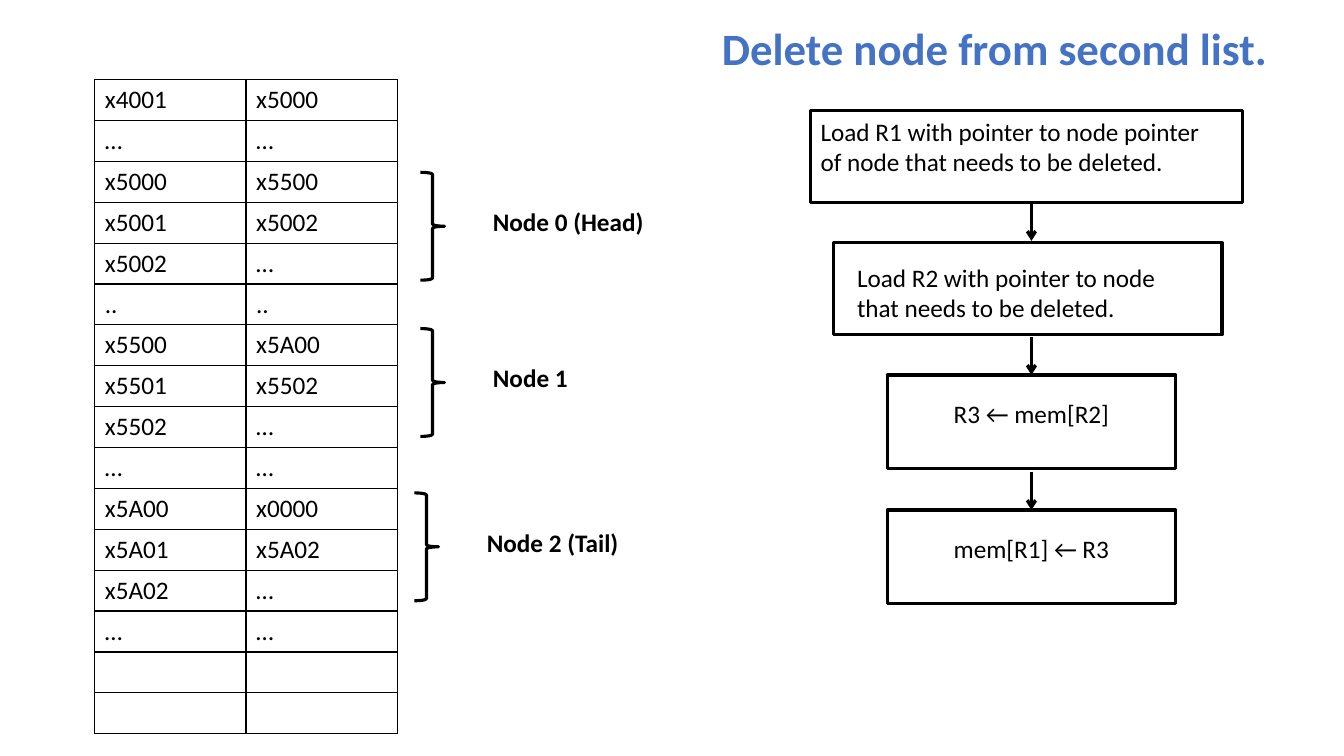
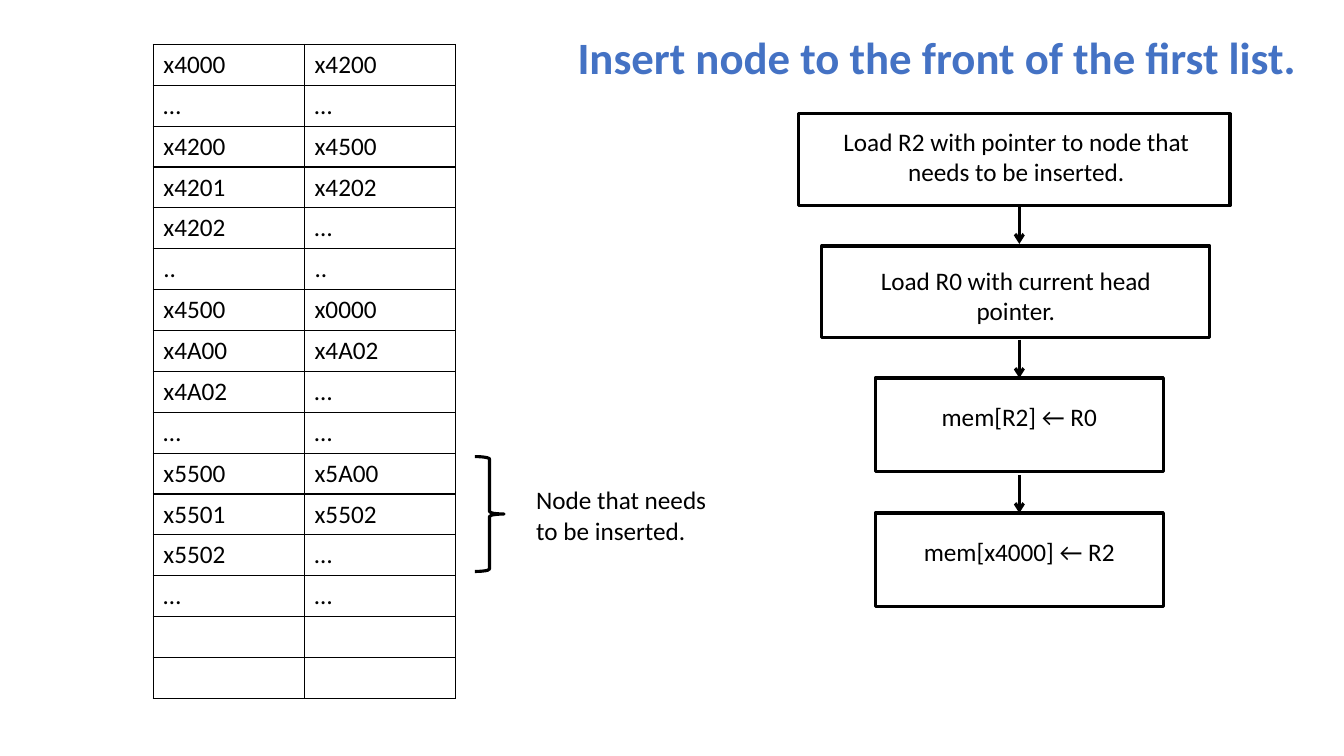
import pptx
import pptx.dml.color
import pptx.enum.shapes
import pptx.enum.text
import pptx.oxml
import pptx.oxml.ns
import pptx.util
from pptx.util import Inches

SHAPE = pptx.enum.shapes.MSO_SHAPE
ALIGN = pptx.enum.text.PP_ALIGN
ANCHOR = pptx.enum.text.MSO_ANCHOR
XMLNS = pptx.oxml.ns.nsdecls("a")

# Flowchart boxes: left from the arrow axis, top from the first box, width, height
STEP_BOXES = [
    (-2.19, 0, 4.28, 0.91),
    (-1.96, 1.31, 3.85, 0.91),
    (-1.43, 2.62, 2.86, 0.93),
    (-1.43, 3.96, 2.86, 0.93),
]
ARROW_STARTS = [0.91, 2.24, 3.58]
ARROW_LENGTH = 0.38
# Text margins of the lower three boxes: left, top, right
LOWER_MARGINS = [(0.23, 0.19, 0.23), (0.17, 0.23, 0.17), (0.17, 0.23, 0.17)]


def color(hex_code):
    return pptx.dml.color.RGBColor.from_string(hex_code)


class Style:
    FONT = "Calibri"
    INK = "000000"
    PAPER = "FFFFFF"
    ACCENT = "4472C4"
    TITLE_SIZE = 32
    BODY_SIZE = 18
    LINE_WIDTH = 2.25
    BORDER_WIDTH = 1

    def __init__(self, deck):
        self.deck = deck
        self.page = None

    def new_page(self):
        self.page = self.deck.slides.add_slide(self.deck.slide_layouts[6])

    def set_text(self, frame, text, size=BODY_SIZE, ink=INK, bold=False, align=ALIGN.LEFT):
        frame.text = text
        for para in frame.paragraphs:
            para.alignment = align
            for span in para.runs:
                span.font.name = self.FONT
                span.font.size = pptx.util.Pt(size)
                span.font.bold = bold
                span.font.color.rgb = color(ink)

    def outline(self, line):
        line.color.rgb = color(self.INK)
        line.width = pptx.util.Pt(self.LINE_WIDTH)

    def text_box(self, left, top, width, height):
        box = self.page.shapes.add_textbox(
            Inches(left), Inches(top), Inches(width), Inches(height))
        box.text_frame.word_wrap = True
        return box.text_frame

    def title(self, text, left, top, width):
        frame = self.text_box(left, top, width, 0.81)
        frame.vertical_anchor = ANCHOR.MIDDLE
        self.set_text(frame, text, self.TITLE_SIZE, self.ACCENT, True, ALIGN.CENTER)
        frame.paragraphs[0].line_spacing = 0.9

    def label(self, text, left, top, width, height=0.4, bold=True):
        frame = self.text_box(left, top, width, height)
        frame.auto_size = pptx.enum.text.MSO_AUTO_SIZE.SHAPE_TO_FIT_TEXT
        self.set_text(frame, text, bold=bold)

    def shape(self, kind, left, top, width, height):
        shape = self.page.shapes.add_shape(
            kind, Inches(left), Inches(top), Inches(width), Inches(height))
        shape.shadow.inherit = False
        self.outline(shape.line)
        return shape

    def brace(self, left, top, width=0.24, height=1.07):
        self.shape(SHAPE.RIGHT_BRACE, left, top, width, height).fill.background()

    def step_box(self, text, place, margins, align):
        box = self.shape(SHAPE.RECTANGLE, *place)
        box.fill.solid()
        box.fill.fore_color.rgb = color(self.PAPER)
        frame = box.text_frame
        frame.word_wrap = True
        frame.vertical_anchor = ANCHOR.TOP
        frame.margin_left, frame.margin_top, frame.margin_right = map(Inches, margins)
        self.set_text(frame, text, align=align)
        return box

    def down_arrow(self, x, top):
        arrow = self.page.shapes.add_connector(
            pptx.enum.shapes.MSO_CONNECTOR.STRAIGHT,
            Inches(x), Inches(top), Inches(x), Inches(top + ARROW_LENGTH))
        self.outline(arrow.line)
        properties = arrow._element.spPr
        properties.get_or_add_ln().append(
            pptx.oxml.parse_xml(f'<a:tailEnd {XMLNS} type="arrow"/>'))
        properties.append(pptx.oxml.parse_xml(f"<a:effectLst {XMLNS}/>"))
        return arrow

    def flowchart(self, axis, top, steps, first_margins, aligns):
        """Stack the step boxes along a vertical axis and link them with arrows."""
        boxes = []
        for text, place, margins, align in zip(
                steps, STEP_BOXES, [first_margins] + LOWER_MARGINS, aligns):
            left, drop, width, height = place
            boxes.append(self.step_box(
                text, (axis + left, top + drop, width, height), margins, align))
        arrows = [self.down_arrow(axis, top + start) for start in ARROW_STARTS]
        # The two upper boxes sit slightly off the axis, so only the lower ones are joined
        for arrow, box in zip(arrows[1:], boxes[2:]):
            arrow.end_connect(box, 0)

    def border(self, cell):
        properties = cell._tc.get_or_add_tcPr()
        for side in ("lnL", "lnR", "lnT", "lnB"):
            properties.append(pptx.oxml.parse_xml(
                f'<a:{side} {XMLNS} w="{pptx.util.Pt(self.BORDER_WIDTH)}"><a:solidFill>'
                f'<a:srgbClr val="{self.INK}"/></a:solidFill></a:{side}>'))

    def memory_table(self, rows, left, top):
        """Show address and content pairs, one a row."""
        table = self.page.shapes.add_table(
            len(rows), 2, Inches(left), Inches(top), Inches(3), Inches(6.49)).table
        table.first_row = table.horz_banding = False
        for row, values in enumerate(rows):
            for column, value in enumerate(values):
                cell = table.cell(row, column)
                self.border(cell)
                cell.fill.background()
                self.set_text(cell.text_frame, value)


GAP = ("…", "…")
SHORT_GAP = ("..", "..")
EMPTY = ("", "")
SECOND_NODE = [("x5500", "x5A00"), ("x5501", "x5502"), ("x5502", "…")]

SECOND_LIST = [
    ("x4001", "x5000"), GAP,
    ("x5000", "x5500"), ("x5001", "x5002"), ("x5002", "…"), SHORT_GAP,
    *SECOND_NODE, GAP,
    ("x5A00", "x0000"), ("x5A01", "x5A02"), ("x5A02", "…"), GAP, EMPTY, EMPTY,
]
FIRST_LIST = [
    ("x4000", "x4200"), GAP,
    ("x4200", "x4500"), ("x4201", "x4202"), ("x4202", "…"), SHORT_GAP,
    ("x4500", "x0000"), ("x4A00", "x4A02"), ("x4A02", "…"), GAP,
    *SECOND_NODE, GAP, EMPTY, EMPTY,
]


def delete_page(style):
    style.new_page()
    style.title("Delete node from second list.", 6.4, 0.1, 6.93)
    style.flowchart(
        10.23, 1.1,
        ["Load R1 with pointer to node pointer of node that needs to be deleted.",
         "Load R2 with pointer to node that needs to be deleted.",
         "R3 ← mem[R2]",
         "mem[R1] ← R3"],
        (0.1, 0.05, 0.3), [ALIGN.LEFT] * 2 + [ALIGN.CENTER] * 2)
    style.memory_table(SECOND_LIST, 0.94, 0.79)
    for name, left, top, width in [
            ("Node 0 (Head)", 4.17, 1.71, 2.16),
            ("Node 1", 4.17, 3.26, 1.69),
            ("Node 2 (Tail)", 4.11, 4.89, 1.69)]:
        style.brace(left, top)
        style.label(name, left + 0.62, top + 0.29, width)


def insert_page(style):
    style.new_page()
    style.title("Insert node to the front of the first list.", 5.26, 0.19, 8.07)
    style.flowchart(
        10.11, 1.13,
        ["Load R2 with pointer to node that needs to be inserted.",
         "Load R0 with current head pointer.",
         "mem[R2] ← R0",
         "mem[x4000] ← R2"],
        (0.22, 0.12, 0.18), [ALIGN.CENTER] * 4)
    style.memory_table(FIRST_LIST, 1.52, 0.44)
    style.brace(4.71, 4.53, 0.29, 1.14)
    style.label("Node that needs to be inserted.", 5.22, 4.76, 2, 0.71, bold=False)


def main():
    deck = pptx.Presentation()
    deck.slide_width, deck.slide_height = Inches(13.33), Inches(7.5)
    style = Style(deck)
    delete_page(style)
    insert_page(style)
    deck.save("out.pptx")


if __name__ == "__main__":
    main()
